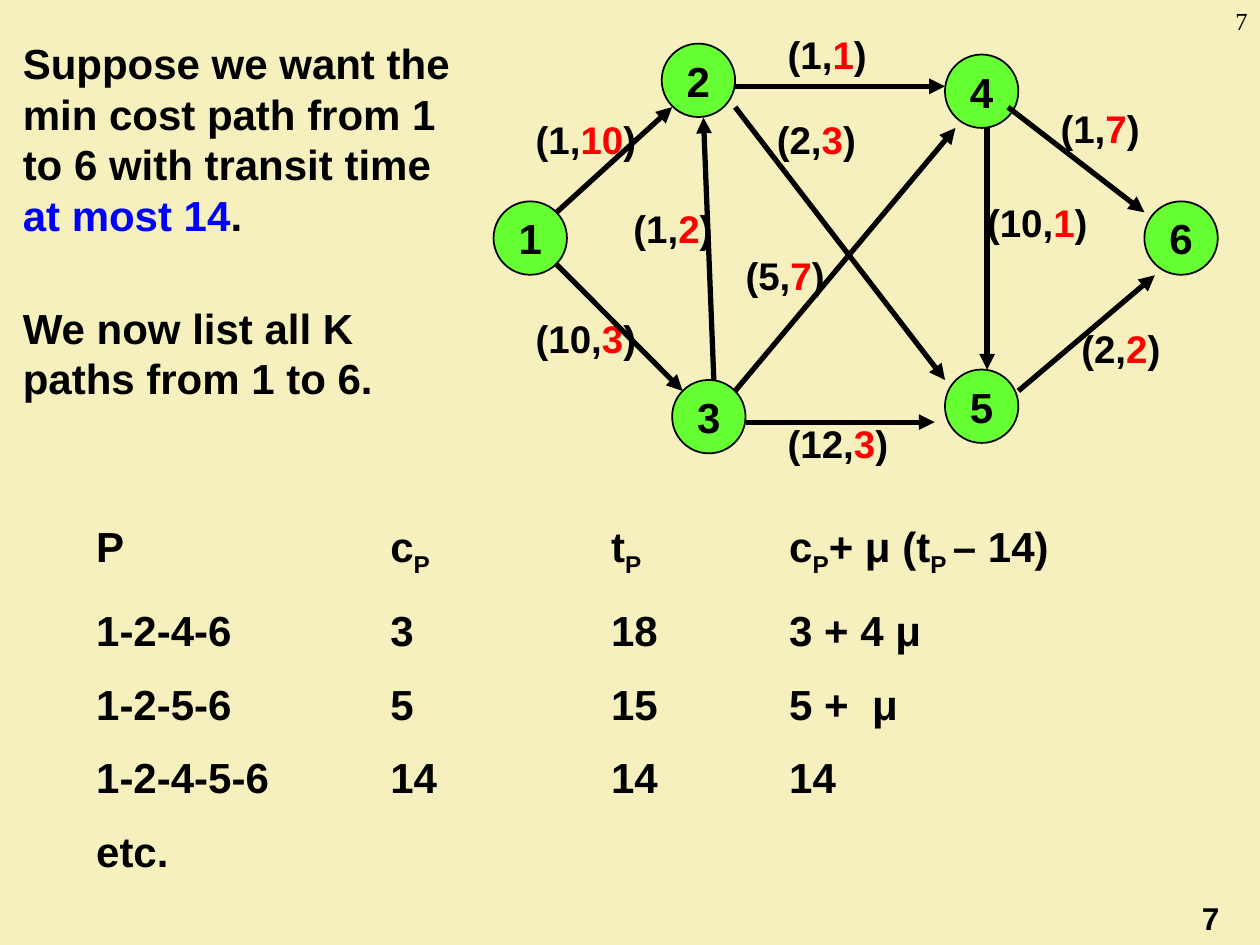
from lxml import etree
from pptx import Presentation
from pptx.dml.color import RGBColor
from pptx.enum.shapes import MSO_CONNECTOR, MSO_SHAPE
from pptx.enum.text import MSO_ANCHOR, PP_ALIGN
from pptx.oxml.ns import qn
from pptx.util import Cm, Pt

STRAIGHT, OVAL = MSO_CONNECTOR.STRAIGHT, MSO_SHAPE.OVAL
MIDDLE = MSO_ANCHOR.MIDDLE
LEFT, CENTER, RIGHT = PP_ALIGN.LEFT, PP_ALIGN.CENTER, PP_ALIGN.RIGHT
BLACK, RED = RGBColor(0, 0, 0), RGBColor(0xFF, 0, 0)
BLUE, GREEN = RGBColor(0, 0, 0xFF), RGBColor(0x66, 0xFF, 0x33)
CREAM = RGBColor(0xF5, 0xF0, 0xBD)

BODY = {"size": Pt(24), "name": "Arial", "bold": True}
LABEL = {**BODY, "size": Pt(22)}
PAGE = {**BODY, "size": Pt(18)}
CORNER = {"size": Pt(14), "name": "Times New Roman", "bold": False}

# Lengths in centimetres
NODE_SIZE = 1.48
NODES = {  # node: left, top
    "1": (9.95, 4.06), "2": (13.34, 0.88), "4": (19.05, 1.1),
    "5": (19.05, 7.45), "3": (13.55, 7.66), "6": (23.07, 4.06),
}
ARCS = [  # start, end, cost, time, label left and top
    ((11.22, 4.28), (13.55, 2.16), 1, 10, (10.8, 2.33)),
    ((14.82, 1.74), (19.05, 1.74), 1, 1, (15.88, 0.63)),
    ((14.82, 2.16), (19.05, 7.66), 2, 3, (15.66, 2.33)),
    ((11.22, 5.33), (13.76, 7.88), 10, 3, (10.8, 6.35)),
    ((14.39, 7.66), (14.18, 2.37), 1, 2, (12.77, 4.13)),
    ((14.82, 7.88), (19.26, 2.58), 5, 7, (15.03, 5.08)),
    ((15.03, 8.51), (18.84, 8.51), 12, 3, (15.88, 8.47)),
    ((20.53, 7.88), (23.28, 5.55), 2, 2, (21.8, 6.56)),
    ((20.32, 2.16), (23.07, 4.28), 1, 7, (21.38, 2.12)),
    ((19.9, 2.58), (19.9, 7.45), 10, 1, (19.9, 4.02)),
]

# A run is (text, colour, is subscript)
SUB_P = ("P", BLACK, True)
COLUMNS = [(1.69, 4.23), (7.62, 3.18), (12.07, 4.45), (15.66, 5.93)]
HEADER_TOP, FIRST_ROW_TOP, ROW_PITCH = 10.37, 12.07, 1.48
HEADER = [
    [("P", BLACK, False)],
    [("c", BLACK, False), SUB_P],
    [("t", BLACK, False), SUB_P],
    [("c", BLACK, False), SUB_P, ("+ μ (t", BLACK, False),
     ("P ", BLACK, True), ("– 14)", BLACK, False)],
]
PATHS = [
    ("1-2-4-6", "3", "18", "3 + 4 μ"),
    ("1-2-5-6", "5", "15", "5 +  μ"),
    ("1-2-4-5-6", "14", "14", "14"),
    ("etc.",),
]
NOTES = [  # left, top, width, height, runs, format, alignment
    (23.98, 17.99, 1.27, 1.02, [("7", BLACK, False)], PAGE, LEFT),
    (0.21, 5.97, 8.47, 2.29,
     [("We now list all K paths from 1 to 6.", BLACK, False)], BODY, LEFT),
    (0.21, 0.64, 9.53, 4.32,
     [("Suppose we want the min cost path from 1 to 6 with transit time ",
       BLACK, False), ("at most 14", BLUE, False), (".", BLACK, False)],
     BODY, LEFT),
    (23.28, 0, 2.12, 1.27, [("7", BLACK, False)], CORNER, RIGHT),
]


def write(tf, runs, fmt, align=LEFT):
    p = tf.paragraphs[0]
    p.alignment = align
    for text, colour, subscript in runs:
        r = p.add_run()
        r.text = text
        for key, value in fmt.items():
            setattr(r.font, key, value)
        r.font.color.rgb = colour
        if subscript:
            r.font._element.set("baseline", "-25000")


def add_text(s, left, top, width, height, runs, fmt, align=LEFT):
    tf = s.shapes.add_textbox(
        Cm(left), Cm(top), Cm(width), Cm(height)).text_frame
    tf.word_wrap = True
    write(tf, runs, fmt, align)
    return tf


def add_label(s, cost, time, left, top):
    runs = [(f"({cost},", BLACK, False), (str(time), RED, False),
            (")", BLACK, False)]
    width = 1.6 if cost + time < 10 else 2.03
    tf = add_text(s, left, top, width, 0.93, runs, LABEL)
    tf.word_wrap = False
    for side in ("left", "top", "right", "bottom"):
        setattr(tf, f"margin_{side}", 0)


def add_node(s, name, left, top):
    sp = s.shapes.add_shape(
        OVAL, Cm(left), Cm(top), Cm(NODE_SIZE), Cm(NODE_SIZE))
    sp.shadow.inherit = False
    sp.fill.solid()
    sp.fill.fore_color.rgb = GREEN
    sp.line.color.rgb = BLACK
    sp.line.width = Pt(1)
    sp.text_frame.word_wrap = False
    sp.text_frame.vertical_anchor = MIDDLE
    write(sp.text_frame, [(name, BLACK, False)], BODY, CENTER)


def add_arrow(s, start, end):
    line = s.shapes.add_connector(STRAIGHT, *map(Cm, start + end))
    line.line.color.rgb = BLACK
    line.line.width = Pt(3)
    etree.SubElement(line.line._get_or_add_ln(), qn("a:tailEnd"),
                     type="triangle")
    etree.SubElement(line._element.spPr, qn("a:effectLst"))


def main():
    prs = Presentation()
    prs.slide_width, prs.slide_height = Cm(25.4), Cm(19.05)
    s = prs.slides.add_slide(prs.slide_layouts[6])
    s.background.fill.solid()
    s.background.fill.fore_color.rgb = CREAM

    for _, _, cost, time, place in ARCS:
        add_label(s, cost, time, *place)
    for name, place in NODES.items():
        add_node(s, name, *place)
    for start, end, *_ in ARCS:
        add_arrow(s, start, end)

    rows = [(HEADER_TOP, HEADER)]
    for i, cells in enumerate(PATHS):
        rows.append((FIRST_ROW_TOP + i * ROW_PITCH,
                     [[(text, BLACK, False)] for text in cells]))
    for top, cells in rows:
        for (left, width), runs in zip(COLUMNS, cells):
            add_text(s, left, top, width, 1.27, runs, BODY)

    for note in NOTES:
        add_text(s, *note)
    prs.save("out.pptx")


if __name__ == "__main__":
    main()
